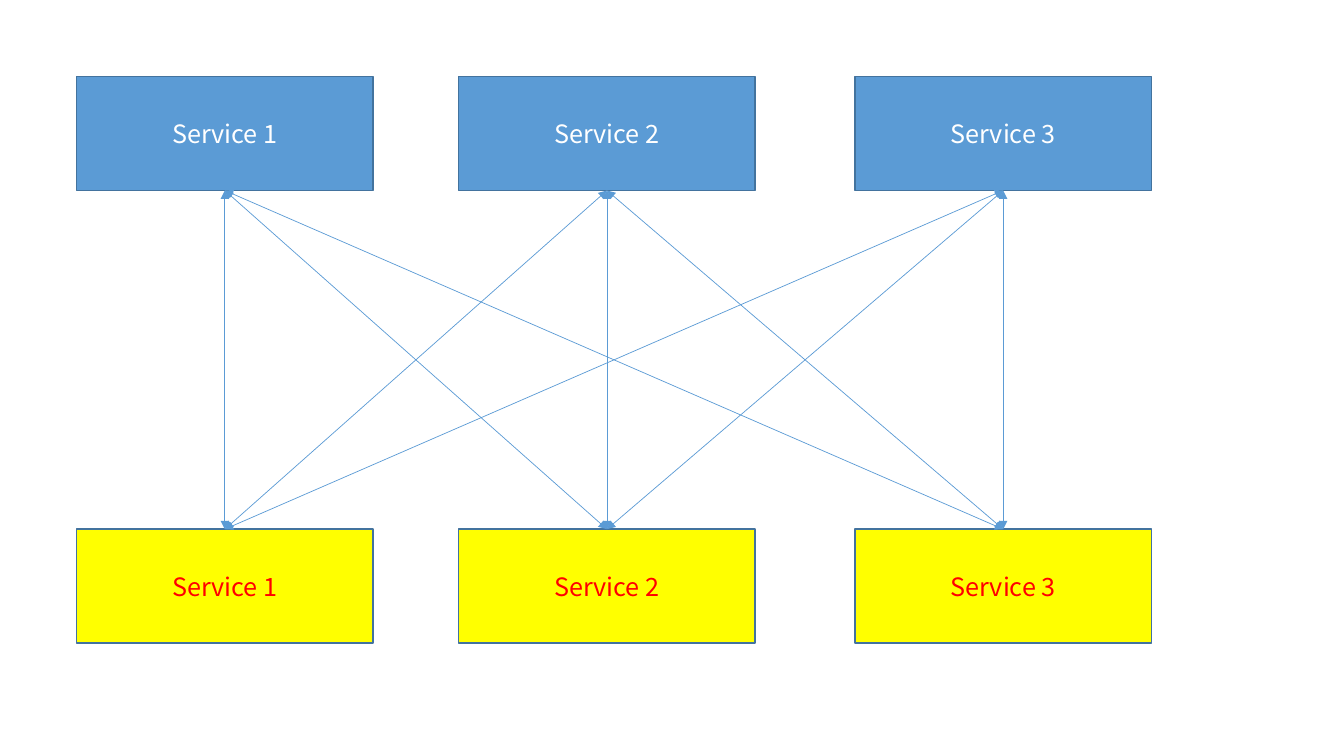
from dataclasses import dataclass
from itertools import product

from lxml import etree
from pptx import Presentation
from pptx.dml.color import RGBColor
from pptx.enum.shapes import MSO_CONNECTOR, MSO_SHAPE
from pptx.enum.text import MSO_ANCHOR, PP_ALIGN
from pptx.oxml.ns import qn
from pptx.shapes.autoshape import Shape
from pptx.slide import Slide
from pptx.util import Inches, Pt

RECTANGLE = MSO_SHAPE.RECTANGLE
STRAIGHT = MSO_CONNECTOR.STRAIGHT
MIDDLE = MSO_ANCHOR.MIDDLE
CENTER = PP_ALIGN.CENTER

BLUE = RGBColor(0x5B, 0x9B, 0xD5)
DARK_BLUE = RGBColor(0x43, 0x73, 0x9E)
YELLOW = RGBColor(0xFF, 0xFF, 0x00)
RED = RGBColor(0xFF, 0x00, 0x00)
WHITE = RGBColor(0xFF, 0xFF, 0xFF)

FONT = "Noto Sans CJK KR"
BOX_WIDTH, BOX_HEIGHT = 2.94, 1.13
COLUMN_LEFTS = (0.76, 4.55, 8.48)
TOP_SIDE, BOTTOM_SIDE = 0, 2


@dataclass(frozen=True)
class ServiceRow:
    top: float
    fill: RGBColor
    text_color: RGBColor


UPPER_ROW = ServiceRow(0.76, BLUE, WHITE)
LOWER_ROW = ServiceRow(5.25, YELLOW, RED)


def add_service(slide: Slide, row: ServiceRow, left: float, label: str) -> Shape:
    shape = slide.shapes.add_shape(
        RECTANGLE, Inches(left), Inches(row.top), Inches(BOX_WIDTH), Inches(BOX_HEIGHT)
    )
    shape.shadow.inherit = False
    shape.fill.solid()
    shape.fill.fore_color.rgb = row.fill
    shape.line.color.rgb = DARK_BLUE
    shape.line.width = Pt(1)
    shape.text_frame.vertical_anchor = MIDDLE
    paragraph = shape.text_frame.paragraphs[0]
    paragraph.text = label
    paragraph.alignment = CENTER
    paragraph.font.name = FONT
    paragraph.font.size = Pt(18)
    paragraph.font.color.rgb = row.text_color
    return shape


def add_service_row(slide: Slide, row: ServiceRow) -> list[Shape]:
    return [
        add_service(slide, row, left, f"Service {number}")
        for number, left in enumerate(COLUMN_LEFTS, start=1)
    ]


def link_services(slide: Slide, upper: Shape, lower: Shape) -> None:
    connector = slide.shapes.add_connector(STRAIGHT, 0, 0, 0, 0)
    connector.begin_connect(upper, BOTTOM_SIDE)
    connector.end_connect(lower, TOP_SIDE)
    connector.line.color.rgb = BLUE
    connector.line.width = Pt(0.5)
    # Arrowheads at both ends, no shadow
    line = connector.line._get_or_add_ln()
    for end in ("a:headEnd", "a:tailEnd"):
        etree.SubElement(line, qn(end), type="triangle")
    etree.SubElement(connector._element.spPr, qn("a:effectLst"))


def main() -> None:
    presentation = Presentation()
    presentation.slide_width = Inches(13.33)
    presentation.slide_height = Inches(7.5)
    slide = presentation.slides.add_slide(presentation.slide_layouts[6])

    # Two rows of services
    upper_services = add_service_row(slide, UPPER_ROW)
    lower_services = add_service_row(slide, LOWER_ROW)

    # Every upper service talks to every lower one
    for upper, lower in product(upper_services, lower_services):
        link_services(slide, upper, lower)

    presentation.save("out.pptx")


if __name__ == "__main__":
    main()
